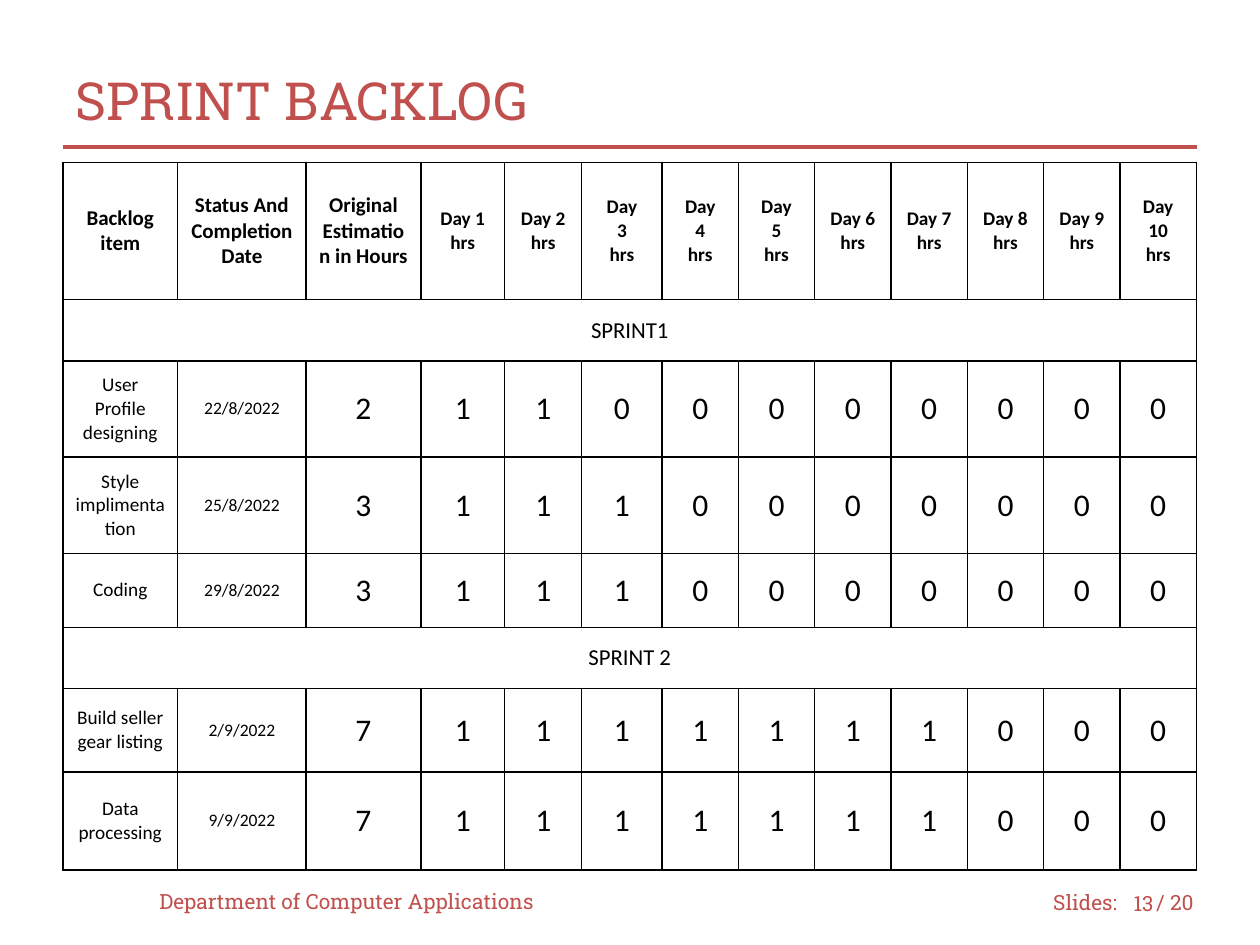
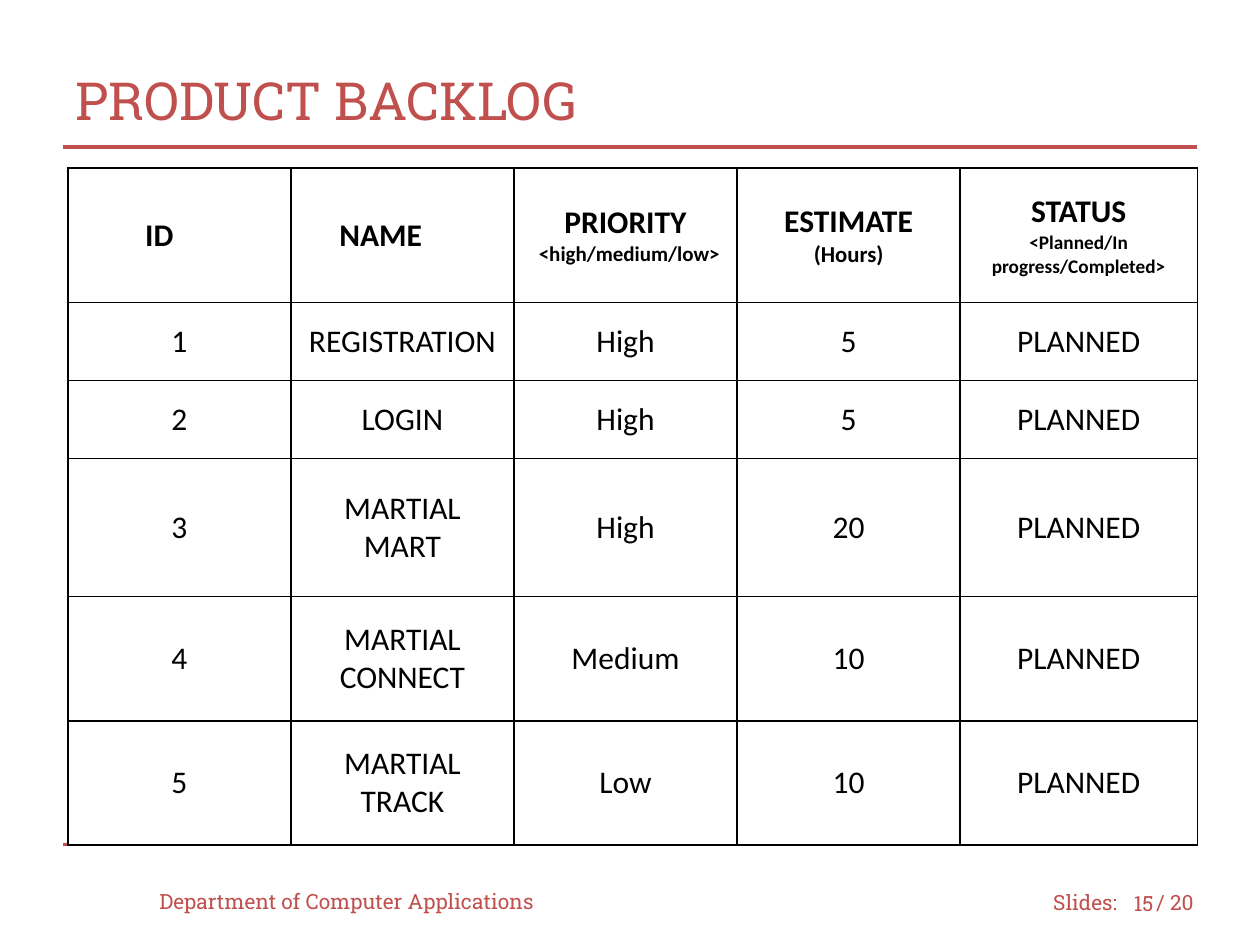
from lxml import etree
from pptx import Presentation
from pptx import util as u
from pptx.dml import color as colors
from pptx.enum import dml, shapes, text
from pptx.oxml import ns

RED, BLACK, WHITE = "C0504D", "000000", "FFFFFF"
SLAB, SANS = "Roboto Slab", "Calibri"
LEFT, CENTER, RIGHT = text.PP_ALIGN.LEFT, text.PP_ALIGN.CENTER, text.PP_ALIGN.RIGHT


def rgb(code):
    return colors.RGBColor.from_string(code)


def write(frame, words, size=12, font=SLAB, color=RED, bold=False, align=LEFT, indent=0):
    for line in words.split("\n"):
        para = frame.add_paragraph() if frame.text else frame.paragraphs[0]
        para.alignment = align
        if indent:
            para._p.get_or_add_pPr().set("marL", str(u.Pt(indent)))
        span = para.add_run()
        span.text = line
        span.font.name = font
        span.font.size = u.Pt(size)
        span.font.bold = bold
        span.font.color.rgb = rgb(color)


days = [f"Day {day}\nhrs" for day in range(1, 11)]
for day in (3, 4, 5):
    days[day - 1] = f"Day\n{day}\nhrs"
sprint_heads = ["Backlog item", "Status And Completion Date", "Original Estimation in Hours"]
sprint_rows = [
    [[(head, dict(size=12, bold=True))] for head in sprint_heads]
    + [[(day, dict(size=11, bold=True))] for day in days]
]
sprints = {
    "SPRINT1": [
        ("User Profile designing", "22/8/2022", 2),
        ("Style implimentation", "25/8/2022", 3),
        ("Coding", "29/8/2022", 3),
    ],
    "SPRINT 2": [
        ("Build seller gear listing", "2/9/2022", 7),
        ("Data processing", "9/9/2022", 7),
    ],
}
for sprint, tasks in sprints.items():
    sprint_rows.append([[(sprint, dict(size=13))]])
    for task, date, hours in tasks:
        numbers = [hours] + [1] * hours + [0] * (10 - hours)
        sprint_rows.append(
            [[(task, dict(size=11))], [(date, dict(size=10))]]
            + [[(str(number), dict(size=18))] for number in numbers]
        )

product_rows = [[
    [("ID", dict(size=18, bold=True, align=LEFT, indent=37))],
    [("NAME", dict(size=18, bold=True, align=LEFT, indent=20.5))],
    [("PRIORITY", dict(size=18, bold=True)),
     ("<high/medium/low>", dict(size=12, bold=True, align=LEFT, indent=7))],
    [("ESTIMATE", dict(size=18, bold=True)), ("(Hours)", dict(size=13, bold=True))],
    [("STATUS", dict(size=18, bold=True)),
     ("<Planned/In progress/Completed>", dict(size=11, bold=True))],
]]
features = [
    ("REGISTRATION", "High", "5"),
    ("LOGIN", "High", "5"),
    ("MARTIAL MART", "High", "20"),
    ("MARTIAL CONNECT", "Medium", "10"),
    ("MARTIAL TRACK", "Low", "10"),
]
for number, feature in enumerate(features, 1):
    product_rows.append([[(words, dict(size=18))] for words in (str(number), *feature, "PLANNED")])

pages = [
    dict(title="SPRINT BACKLOG", number="13", left=36, top=92.75, rows=sprint_rows,
         widths=[65.5, 73.5, 65.5, 48, 44, 46, 43.5] + [43.65] * 6,
         heights=[78.5, 35, 55, 55, 42.25, 35, 47.75, 56]),
    dict(title="PRODUCT BACKLOG", number="15", left=38.75, top=96, rows=product_rows,
         widths=[127.5] * 4 + [135.5],
         heights=[77, 44.5, 44.5, 79, 71, 71]),
]

deck = Presentation()
deck.slide_width, deck.slide_height = u.Pt(720), u.Pt(540)

for content in pages:
    page = deck.slides.add_slide(deck.slide_layouts[5])
    title = page.shapes.title
    title.left, title.top, title.width, title.height = u.Pt(36), u.Pt(24), u.Pt(648), u.Pt(66)
    title.text_frame.auto_size = text.MSO_AUTO_SIZE.NONE
    title.text_frame.vertical_anchor = text.MSO_ANCHOR.MIDDLE
    write(title.text_frame, content["title"], size=30)

    for y, dash in ((482.5, dml.MSO_LINE.DASH), (84, dml.MSO_LINE.SOLID)):
        rule = page.shapes.add_connector(
            shapes.MSO_CONNECTOR.STRAIGHT, u.Pt(36), u.Pt(y), u.Pt(684), u.Pt(y))
        rule.line.color.rgb = rgb(RED)
        rule.line.width = u.Pt(1.75)
        rule.line.dash_style = dash
        etree.SubElement(rule._element.spPr, ns.qn("a:effectLst"))

    footers = [
        ("Slides:", 594.75, 501.25, 54, LEFT),
        ("/ 20", 653.75, 501.25, 42, LEFT),
        ("Department of Computer Applications", 84, 500.5, 240, LEFT),
        (content["number"], 635.75, 501.75, 30.5, RIGHT),
    ]
    for words, left, top, width, align in footers:
        box = page.shapes.add_textbox(u.Pt(left), u.Pt(top), u.Pt(width), u.Pt(28.75))
        box.text_frame.word_wrap = True
        box.text_frame.vertical_anchor = text.MSO_ANCHOR.MIDDLE
        write(box.text_frame, words, align=align)

    rows, widths, heights = content["rows"], content["widths"], content["heights"]
    table = page.shapes.add_table(
        len(rows), len(widths), u.Pt(content["left"]), u.Pt(content["top"]),
        u.Pt(sum(widths)), u.Pt(sum(heights))).table
    table.first_row = table.horz_banding = False
    for column, width in zip(table.columns, widths):
        column.width = u.Pt(width)
    for index, (row, height) in enumerate(zip(rows, heights)):
        table.rows[index].height = u.Pt(height)
        if len(row) == 1:
            table.cell(index, 0).merge(table.cell(index, len(widths) - 1))
        for cell, parts in zip(table.rows[index].cells, row):
            for words, style in parts:
                write(cell.text_frame, words, **{"font": SANS, "color": BLACK, "align": CENTER, **style})
        for cell in table.rows[index].cells:
            cell.margin_left = cell.margin_right = cell.margin_top = cell.margin_bottom = u.Pt(7.2)
            cell.vertical_anchor = text.MSO_ANCHOR.MIDDLE
            cell.fill.solid()
            cell.fill.fore_color.rgb = rgb(WHITE)
            for place, side in enumerate(("a:lnL", "a:lnR", "a:lnT", "a:lnB")):
                border = etree.Element(ns.qn(side), w=str(u.Pt(1)))
                paint = etree.SubElement(border, ns.qn("a:solidFill"))
                etree.SubElement(paint, ns.qn("a:srgbClr"), val=BLACK)
                cell._tc.tcPr.insert(place, border)

deck.save("out.pptx")
